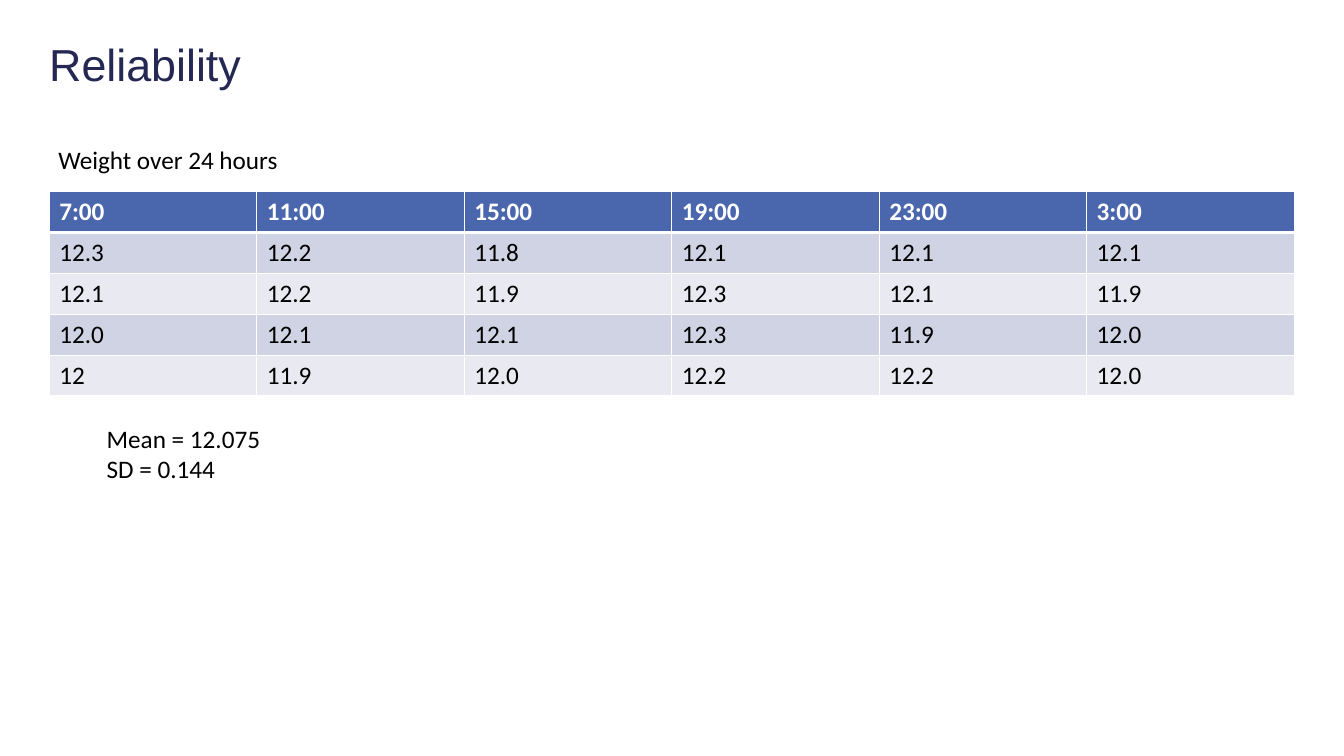
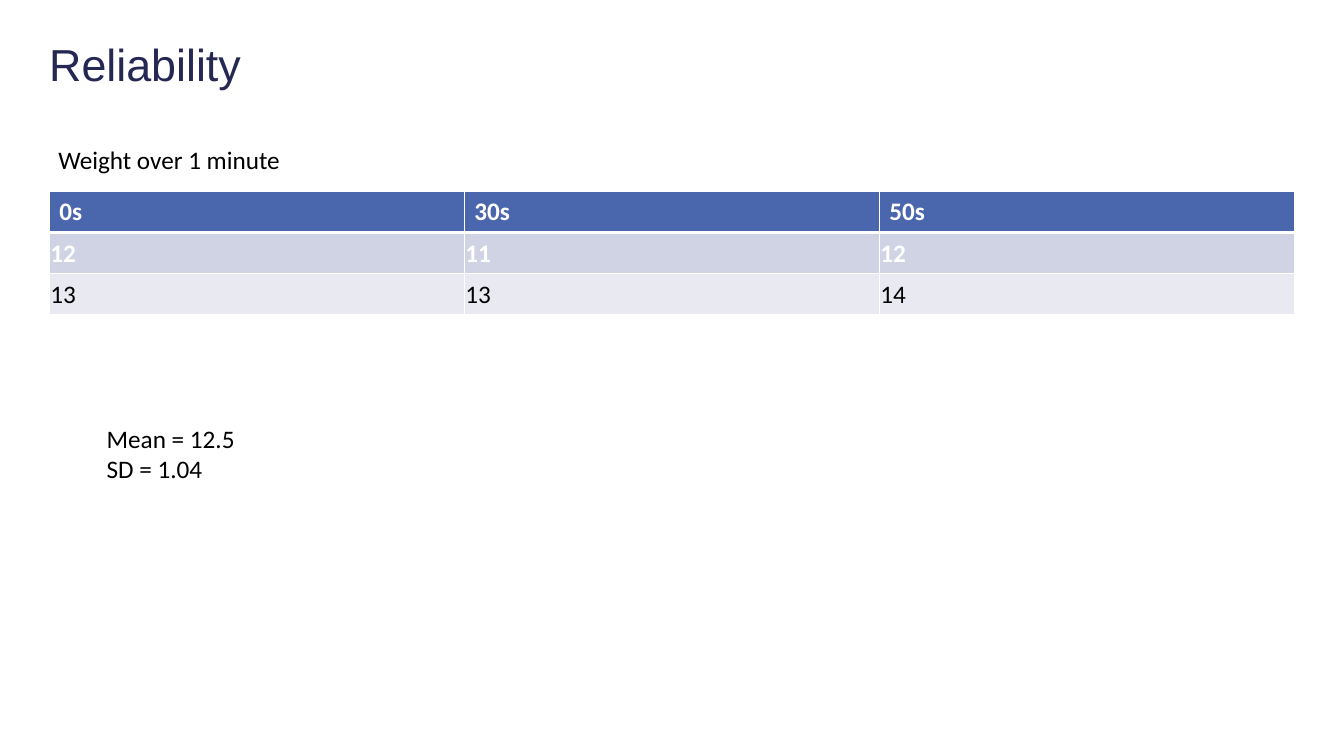
from pptx import Presentation
from pptx.dml.color import RGBColor
from pptx.enum.text import MSO_ANCHOR, MSO_AUTO_SIZE
from pptx.oxml import parse_xml
from pptx.oxml.ns import nsdecls
from pptx.util import Cm, Pt

MIDDLE = MSO_ANCHOR.MIDDLE
FIT = MSO_AUTO_SIZE.SHAPE_TO_FIT_TEXT

# Shared look
COLORS = {"title": "242852", "head": "4A66AC", "odd": "D0D3E3",
          "even": "E9EAF1", "text": "000000", "white": "FFFFFF"}
TITLE = {"name": "Arial", "size": Pt(32)}
BODY = {"name": "Calibri", "size": Pt(18), "bold": False}
BOLD = {**BODY, "bold": True}
FLUSH = {"margin_left": Cm(0.03), "margin_right": Cm(0.03),
         "margin_top": Cm(0.03), "margin_bottom": 0,
         "vertical_anchor": MIDDLE}
NO_INSET = {"margin_left": 0, "margin_right": 0,
            "margin_top": 0, "margin_bottom": 0, "word_wrap": True}
LABEL = {"word_wrap": False, "auto_size": FIT}
LEFT, TOP, WIDTH, ROW = 1.24, 4.83, 31.38, 1.03

# Slide contents: "bold" counts the rows in white bold type
SLIDES = [
    {"label": "Weight over 24 hours", "label_w": 6.1,
     "stats": ["Mean = 12.075", "SD = 0.144"], "stats_w": 4.42,
     "bold": 1, "cell": {},
     "rows": [["7:00", "11:00", "15:00", "19:00", "23:00", "3:00"],
              ["12.3", "12.2", "11.8", "12.1", "12.1", "12.1"],
              ["12.1", "12.2", "11.9", "12.3", "12.1", "11.9"],
              ["12.0", "12.1", "12.1", "12.3", "11.9", "12.0"],
              ["12", "11.9", "12.0", "12.2", "12.2", "12.0"]]},
    {"label": "Weight over 1 minute", "label_w": 6.17,
     "stats": ["Mean = 12.5", "SD = 1.04"], "stats_w": 3.78,
     "bold": 2, "cell": FLUSH,
     "rows": [["0s", "30s", "50s"],
              ["12", "11", "12"],
              ["13", "13", "14"]]},
]


def write(frame, lines, style, color):
    """Fill a text frame, one paragraph a line."""
    frame.text = "\n".join(lines)
    for para in frame.paragraphs:
        for key, value in style.items():
            setattr(para.runs[0].font, key, value)
        para.runs[0].font.color.rgb = RGBColor.from_string(COLORS[color])


def add_text(slide, box, lines, style, color, layout):
    """Add a text box with its frame settings."""
    frame = slide.shapes.add_textbox(*map(Cm, box)).text_frame
    for key, value in layout.items():
        setattr(frame, key, value)
    write(frame, lines, style, color)
    return frame


deck = Presentation()
deck.slide_width, deck.slide_height = Cm(33.87), Cm(19.05)

for data in SLIDES:
    slide = deck.slides.add_slide(deck.slide_layouts[6])

    # Title, table label and statistics
    title = add_text(slide, (LEFT, 1.09, 31.39, 3.18), ["Reliability"],
                     TITLE, "title", NO_INSET)
    title.paragraphs[0].line_spacing = 0.9
    add_text(slide, (1.22, 3.51, data["label_w"], 1.02), [data["label"]],
             BODY, "text", LABEL)
    add_text(slide, (2.44, 10.54, data["stats_w"], 1.8), data["stats"],
             BODY, "text", LABEL)

    # Table grid
    rows = data["rows"]
    count = len(rows[0])
    table = slide.shapes.add_table(
        len(rows), count, Cm(LEFT), Cm(TOP), Cm(WIDTH),
        Cm(ROW * len(rows))).table
    for col in table.columns:
        col.width = Cm(WIDTH / count)

    # Table cells
    for r, row in enumerate(rows):
        table.rows[r].height = Cm(ROW)
        fill = "head" if r == 0 else "odd" if r % 2 else "even"
        bold = r < data["bold"]
        for c, text in enumerate(row):
            cell = table.cell(r, c)
            if r:
                for key, value in data["cell"].items():
                    setattr(cell, key, value)
            write(cell.text_frame, [text], BOLD if bold else BODY,
                  "white" if bold else "text")

            # White rules, thicker under the header
            props = cell._tc.get_or_add_tcPr()
            thick = {"B": r == 0, "T": r == 1}
            for side in "LRTB":
                width = Pt(3 if thick.get(side) else 1)
                props.append(parse_xml(
                    f'<a:ln{side} {nsdecls("a")} w="{width}"><a:solidFill>'
                    f'<a:srgbClr val="{COLORS["white"]}"/>'
                    f'</a:solidFill></a:ln{side}>'))
            cell.fill.solid()
            cell.fill.fore_color.rgb = RGBColor.from_string(COLORS[fill])

deck.save("out.pptx")
